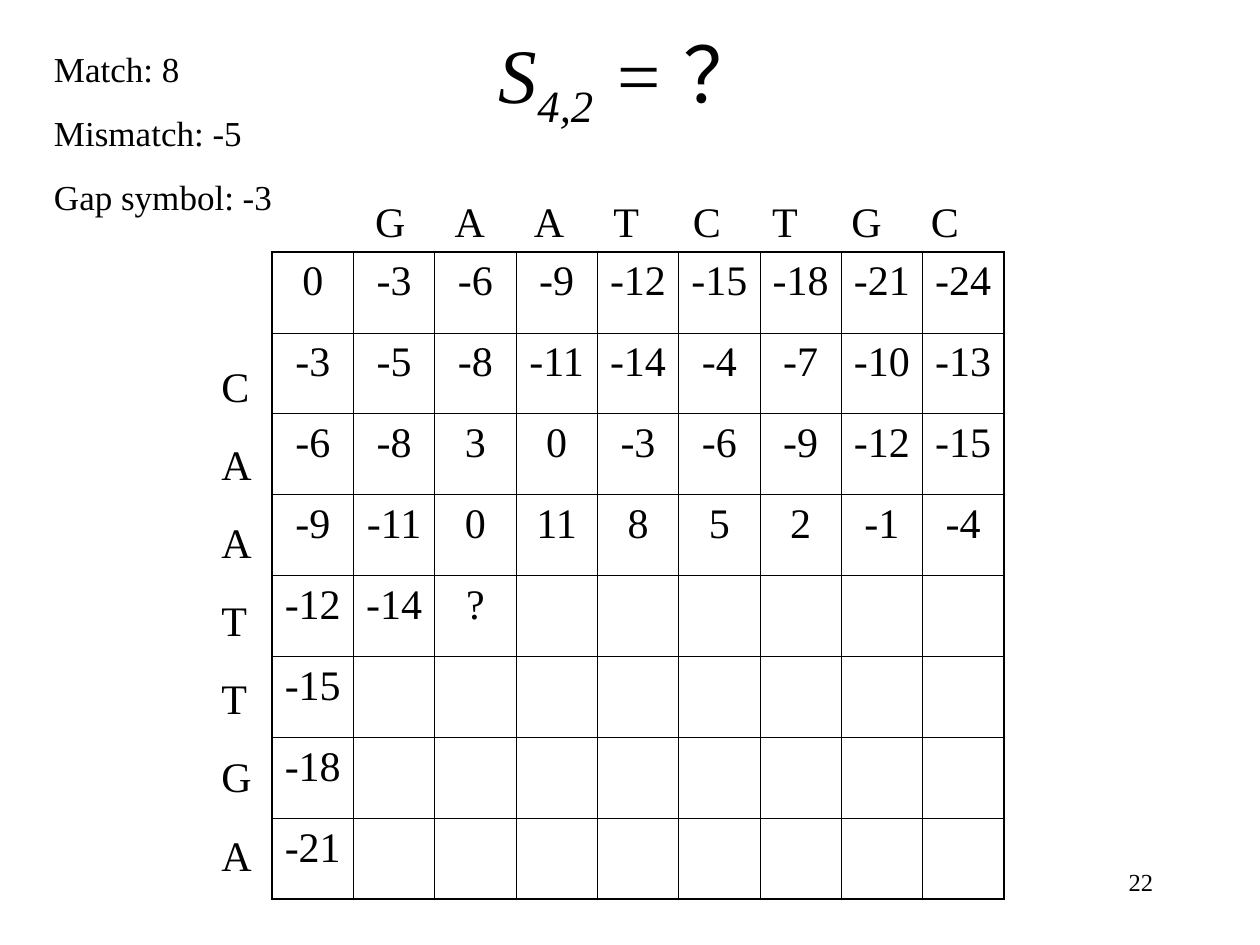
"""Build a slide with a partly filled sequence alignment score matrix."""
import pptx
import pptx.util
import pptx.dml.color
import pptx.enum.text
import lxml.etree

Inches = pptx.util.Inches
Pt = pptx.util.Pt
Align = pptx.enum.text.PP_ALIGN
Anchor = pptx.enum.text.MSO_ANCHOR
colors = {"ink": "000000"}
face = "Times New Roman"


def write(para, text, size):
    run = para.add_run()
    run.text = text
    run.font.name = face
    run.font.size = Pt(size)
    run.font.color.rgb = pptx.dml.color.RGBColor.from_string(colors["ink"])
    return run


def add_box(left, top, width, height):
    frame = slide.shapes.add_textbox(
        Inches(left), Inches(top), Inches(width), Inches(height)).text_frame
    frame.word_wrap = True
    return frame


deck = pptx.Presentation()
deck.slide_width, deck.slide_height = Inches(10), Inches(7.5)
slide = deck.slides.add_slide(deck.slide_layouts[5])

title = slide.shapes.title
title.left, title.top = Inches(0.75), Inches(0)
title.width, title.height = Inches(8.5), Inches(1.25)
title.text_frame.vertical_anchor = Anchor.MIDDLE
para = title.text_frame.paragraphs[0]
para.alignment = Align.CENTER
for text, slant, shift in [("S", True, 0), ("4,2", True, -25000),
                           (" = ", True, 0), ("？", False, 0)]:
    run = write(para, text, 44)
    run.font.italic = slant
    if shift:
        run.font._element.set("baseline", str(shift))

scores = [
    [0, -3, -6, -9, -12, -15, -18, -21, -24],
    [-3, -5, -8, -11, -14, -4, -7, -10, -13],
    [-6, -8, 3, 0, -3, -6, -9, -12, -15],
    [-9, -11, 0, 11, 8, 5, 2, -1, -4],
    [-12, -14, "?"],
    [-15],
    [-18],
    [-21],
]
rows, cols = len(scores), len(scores[0])
table = slide.shapes.add_table(
    rows, cols, Inches(2.16), Inches(2), Inches(5.81), Inches(5.14)).table
table.first_row = table.horz_banding = False
for row in range(rows):
    for col in range(cols):
        cell = table.cell(row, col)
        cell.margin_left = cell.margin_right = Inches(0.08)
        para = cell.text_frame.paragraphs[0]
        para.alignment = Align.CENTER
        if col < len(scores[row]):
            write(para, str(scores[row][col]), 24)
        edges = {"lnL": col == 0, "lnR": col == cols - 1,
                 "lnT": row == 0, "lnB": row == rows - 1}
        props = cell._tc.get_or_add_tcPr()
        for side, outer in edges.items():
            line = lxml.etree.SubElement(props, pptx.oxml.ns.qn("a:" + side))
            line.set("w", str(Pt(1.08 if outer else 0.45)))
            fill = lxml.etree.SubElement(line, pptx.oxml.ns.qn("a:solidFill"))
            tint = lxml.etree.SubElement(fill, pptx.oxml.ns.qn("a:srgbClr"))
            tint.set("val", colors["ink"])
        cell.fill.background()

para = add_box(2.88, 1.5, 6.27, 0.5).paragraphs[0]
para.line_spacing = Pt(28.8)
stops = lxml.etree.SubElement(
    para._p.get_or_add_pPr(), pptx.oxml.ns.qn("a:tabLst"))
for step in range(1, cols - 1):
    stop = lxml.etree.SubElement(stops, pptx.oxml.ns.qn("a:tab"))
    stop.set("pos", str(Inches(0.63 * step)))
    stop.set("algn", "l")
write(para, "\t".join("GAATCTGC"), 24)

para = add_box(1.66, 2.59, 0.56, 4.44).paragraphs[0]
para.line_spacing = Pt(44.64)
for spot, text in enumerate(["C", "AA", "T", "T", "G", "A"]):
    if spot:
        para.add_line_break()
    write(para, text, 24)

frame = add_box(0.33, 0.33, 2.08, 1.45)
for spot, text in enumerate(["Match: 8", "Mismatch: -5", "Gap symbol: -3"]):
    para = frame.add_paragraph() if spot else frame.paragraphs[0]
    para.line_spacing = Pt(24)
    if spot:
        para.space_before = Pt(12.5)
    write(para, text, 20)

para = add_box(7.17, 6.83, 2.08, 0.5).paragraphs[0]
para.alignment = Align.RIGHT
write(para, "22", 14)

deck.save("out.pptx")
